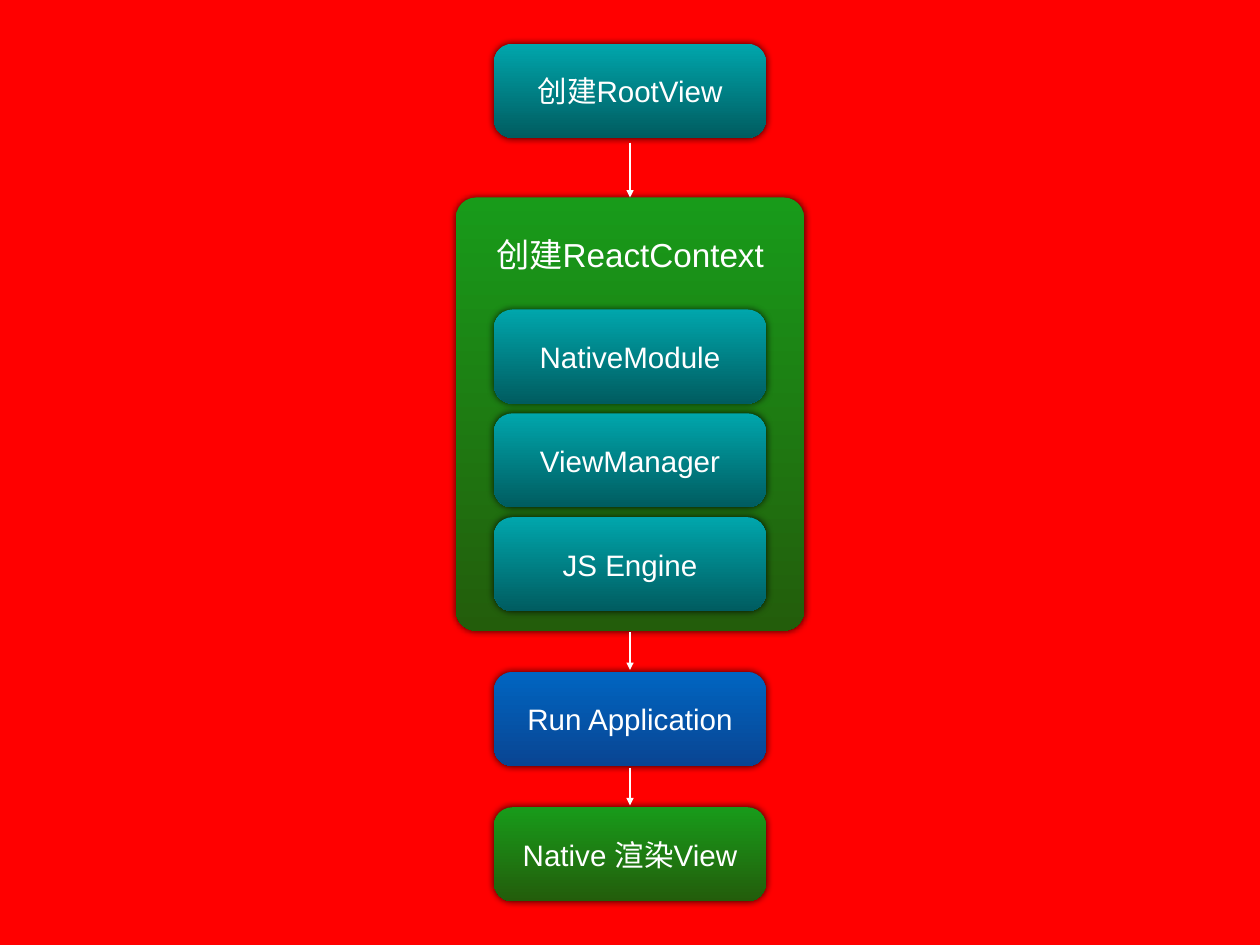
from lxml import etree
from pptx import Presentation
from pptx.dml.color import RGBColor
from pptx.enum import shapes, text
from pptx.oxml import parse_xml
from pptx.oxml.ns import nsdecls, qn
from pptx.util import Pt

COLORS = {
    "background": "FF0000",
    "white": "FFFFFF",
    "shadow": "000000",
    "teal": ("00A6AC", "005C60"),
    "green": ("189B1A", "235D0B"),
    "blue": ("0065C1", "094593"),
}
CENTER = 512
STEP_W, STEP_H = 221, 76.5
STEP_LEFT = CENTER - STEP_W / 2
PANEL_TOP, PANEL_W, PANEL_H = 160.5, 283, 352
MODULE_TOP, MODULE_PITCH = 251.5, 84.4


class FlowSlide:
    """Draws the flow chart elements in one style on the current slide."""

    def __init__(self, prs, font="Arial"):
        self.font = font
        self.s = prs.slides.add_slide(prs.slide_layouts[6])
        fill = self.s.background.fill
        fill.solid()
        fill.fore_color.rgb = RGBColor.from_string(COLORS["background"])

    def label(self, sp, words, size):
        tf = sp.text_frame
        tf.text = words
        tf.vertical_anchor = text.MSO_ANCHOR.MIDDLE
        tf.margin_left = tf.margin_right = Pt(4)
        tf.margin_top = tf.margin_bottom = Pt(4)
        p = tf.paragraphs[0]
        p.alignment = text.PP_ALIGN.CENTER
        r = p.runs[0]
        r.font.name = self.font
        r.font.size = Pt(size)
        r.font.color.rgb = RGBColor.from_string(COLORS["white"])

    def block(self, left, top, width, height, color, radius):
        sp = self.s.shapes.add_shape(
            shapes.MSO_SHAPE.ROUNDED_RECTANGLE,
            Pt(left), Pt(top), Pt(width), Pt(height))
        sp.adjustments[0] = radius
        sp.line.fill.background()
        sp.fill.gradient()
        sp.fill.gradient_angle = 270
        for stop, position, tone in zip(sp.fill.gradient_stops, (0, 1), COLORS[color]):
            stop.position = position
            stop.color.rgb = RGBColor.from_string(tone)
        sp.shadow.inherit = False
        sp._element.spPr.find(qn("a:effectLst")).append(parse_xml(
            f'<a:outerShdw {nsdecls("a")} blurRad="{Pt(6)}" dist="0" dir="18900000" '
            f'rotWithShape="0"><a:srgbClr val="{COLORS["shadow"]}">'
            '<a:alpha val="80000"/></a:srgbClr></a:outerShdw>'))
        return sp

    def step(self, words, top, color):
        sp = self.block(STEP_LEFT, top, STEP_W, STEP_H, color, 0.196)
        self.label(sp, words, 24)
        sp.text_frame.word_wrap = True

    def heading(self, words, left, top, width, height):
        sp = self.s.shapes.add_textbox(Pt(left), Pt(top), Pt(width), Pt(height))
        self.label(sp, words, 27)
        sp.text_frame.word_wrap = False
        sp.text_frame.auto_size = text.MSO_AUTO_SIZE.SHAPE_TO_FIT_TEXT

    def arrow(self, top, bottom, target=None):
        c = self.s.shapes.add_connector(
            shapes.MSO_CONNECTOR.STRAIGHT,
            Pt(CENTER), Pt(top), Pt(CENTER), Pt(bottom))
        if target is not None:
            c.end_connect(target, 0)
        c.line.width = Pt(2)
        c.line.color.rgb = RGBColor.from_string(COLORS["white"])
        etree.SubElement(c.line._get_or_add_ln(), qn("a:tailEnd"), type="triangle")
        etree.SubElement(c._element.spPr, qn("a:effectLst"))


def main():
    prs = Presentation()
    prs.slide_width, prs.slide_height = Pt(1024), Pt(768)
    flow = FlowSlide(prs)
    panel = flow.block(CENTER - PANEL_W / 2, PANEL_TOP, PANEL_W, PANEL_H, "green", 0.058)
    flow.step("创建RootView", 35.5, "teal")
    flow.heading("创建ReactContext", 398.6, 183.5, 226.8, 46)
    for i, module in enumerate(("NativeModule", "ViewManager", "JS Engine")):
        flow.step(module, MODULE_TOP + i * MODULE_PITCH, "teal")
    flow.step("Run Application", 546, "blue")
    flow.step("Native 渲染View", 656, "green")
    flow.arrow(116, PANEL_TOP, panel)
    flow.arrow(514, 544.5)
    flow.arrow(624, 654.5)
    prs.save("out.pptx")


if __name__ == "__main__":
    main()
